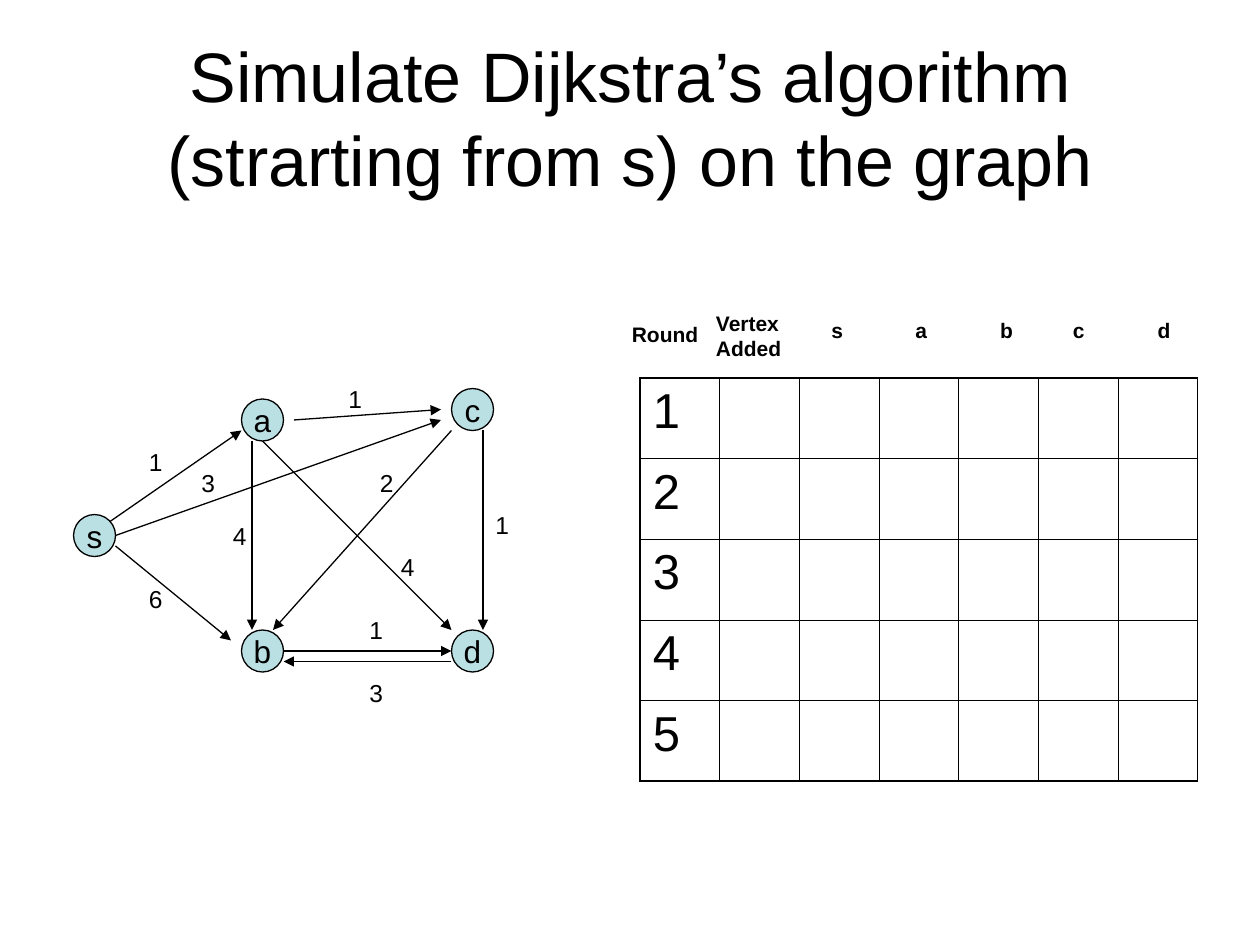
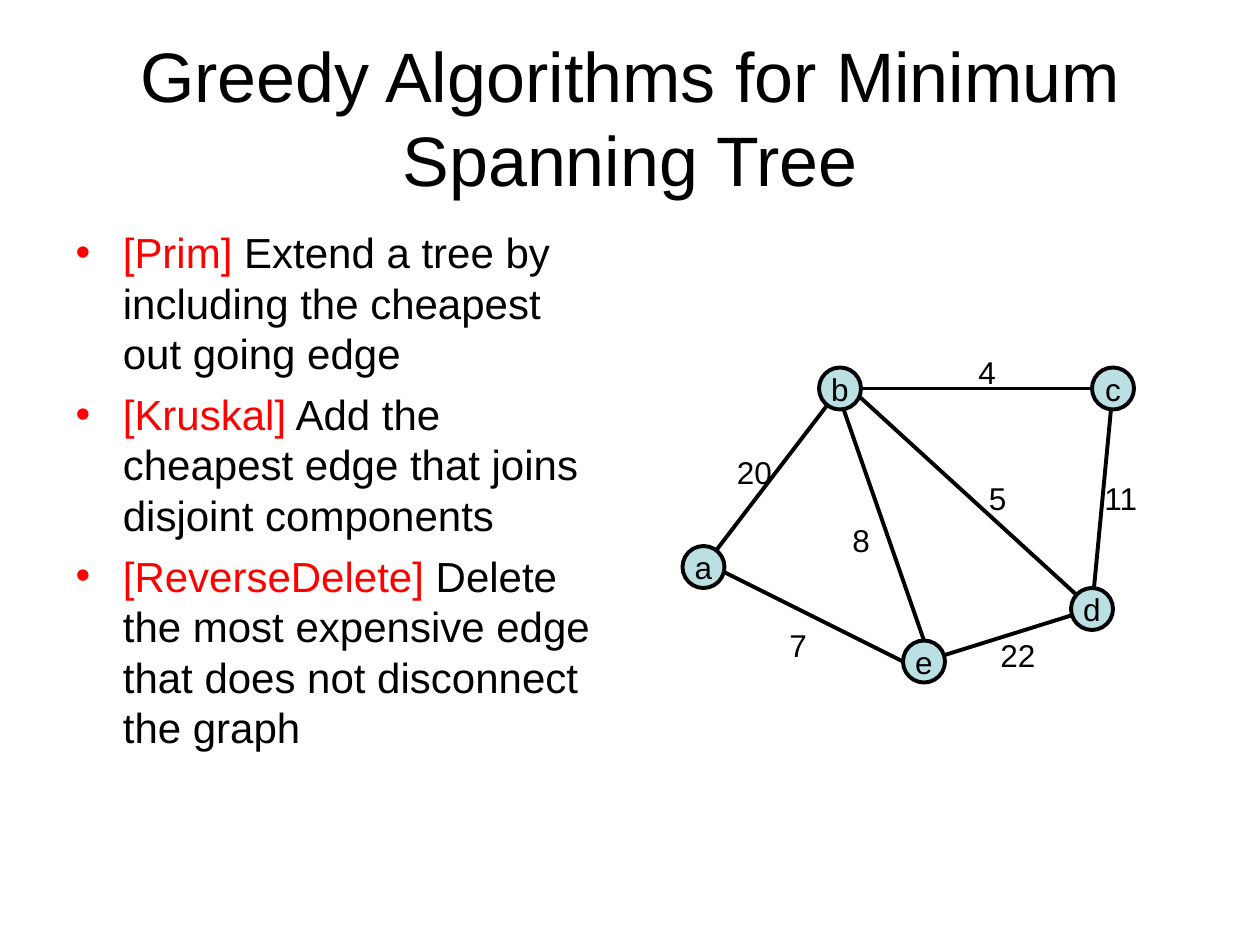
import dataclasses

import lxml.etree
import pptx
import pptx.dml.color
import pptx.enum.shapes
import pptx.enum.text
import pptx.oxml
import pptx.oxml.ns
import pptx.util

Pt = pptx.util.Pt
qn = pptx.oxml.ns.qn
ALIGN = pptx.enum.text.PP_ALIGN
ANCHOR = pptx.enum.text.MSO_ANCHOR

BLACK = pptx.dml.color.RGBColor(0x00, 0x00, 0x00)
RED = pptx.dml.color.RGBColor(0xFF, 0x00, 0x00)
PALE_TEAL = pptx.dml.color.RGBColor(0xBB, 0xE0, 0xE3)
FONT = "Arial"
LEADING = 1.2
VERTEX_SIZE = 24
OUTER_BORDER = 1.08
INNER_BORDER = 0.45
BULLET_INDENT = 27


@dataclasses.dataclass(frozen=True)
class Vertex:
    name: str
    left: float
    top: float


@dataclasses.dataclass(frozen=True)
class Edge:
    x1: float
    y1: float
    x2: float
    y2: float


@dataclasses.dataclass(frozen=True)
class Label:
    text: str
    left: float
    top: float
    width: float
    height: float
    size: float
    bold: bool = False
    wrap: bool = True


@dataclasses.dataclass(frozen=True)
class Graph:
    vertices: list[Vertex]
    edges: list[Edge]
    weights: list[Label]
    line_width: float
    directed: bool


@dataclasses.dataclass(frozen=True)
class Strategy:
    name: str
    rule: str


def small_weight(text: str, left: float, top: float, width: float = 18) -> Label:
    return Label(text, left, top, width, 24.5, 14)


def large_weight(text: str, left: float, top: float) -> Label:
    return Label(text, left, top, 14.5 + 10 * len(text), 28.8, 18, wrap=False)


def vertex_heading(text: str, left: float) -> Label:
    return Label(text, left, 178, 21.2, 21.6, 12, bold=True, wrap=False)


DIJKSTRA_GRAPH = Graph(
    vertices=[
        Vertex("s", 42, 294),
        Vertex("a", 138, 228),
        Vertex("b", 138, 360),
        Vertex("c", 258, 222),
        Vertex("d", 258, 360),
    ],
    edges=[
        Edge(60, 300, 138, 246),
        Edge(66, 312, 132, 366),
        Edge(162, 372, 258, 372),
        Edge(168, 240, 252, 234),
        Edge(276, 246, 276, 360),
        Edge(144, 252, 144, 360),
        Edge(258, 246, 156, 360),
        Edge(150, 252, 258, 360),
        Edge(66, 306, 252, 240),
        Edge(258, 378, 162, 378),
    ],
    weights=[
        small_weight("1", 78, 252),
        small_weight("1", 192, 216),
        small_weight("1", 276, 288),
        small_weight("2", 210, 264),
        small_weight("3", 108, 264),
        small_weight("4", 126, 294),
        small_weight("6", 78, 330),
        small_weight("1", 204, 348),
        small_weight("3", 204, 384, 30),
        small_weight("4", 222, 312),
    ],
    line_width=0.75,
    directed=True,
)

SPANNING_GRAPH = Graph(
    vertices=[
        Vertex("a", 390, 312),
        Vertex("b", 468, 210),
        Vertex("c", 624, 210),
        Vertex("d", 612, 336),
        Vertex("e", 516, 366),
    ],
    edges=[
        Edge(480, 222, 402, 324),
        Edge(408, 324, 516, 378),
        Edge(480, 228, 528, 366),
        Edge(480, 222, 636, 222),
        Edge(636, 222, 624, 348),
        Edge(486, 222, 624, 348),
        Edge(528, 378, 624, 348),
    ],
    weights=[
        large_weight("4", 552, 198),
        large_weight("11", 624, 270),
        large_weight("5", 558, 270),
        large_weight("7", 444, 354),
        large_weight("20", 414, 255.6),
        large_weight("8", 480, 294),
        large_weight("22", 564.5, 360),
    ],
    line_width=2.25,
    directed=False,
)

TABLE_HEADINGS = [
    Label("Round", 354, 180, 60, 21.6, 12, bold=True),
    Label("Vertex Added", 402, 174, 60, 36, 12, bold=True),
    vertex_heading("s", 468),
    vertex_heading("a", 516),
    vertex_heading("b", 564.5),
    vertex_heading("c", 606),
    vertex_heading("d", 654.5),
]

STRATEGIES = [
    Strategy("[Prim]", " Extend a tree by including the cheapest out going edge"),
    Strategy("[Kruskal]", " Add the cheapest edge that joins disjoint components"),
    Strategy(
        "[ReverseDelete]",
        " Delete the most expensive edge that does not disconnect the graph",
    ),
]


def format_run(run, size: float, color=BLACK, bold: bool = False) -> None:
    run.font.name = FONT
    run.font.size = Pt(size)
    run.font.bold = bold
    run.font.color.rgb = color


def format_paragraph(paragraph, size: float, align=ALIGN.LEFT, bold: bool = False) -> None:
    paragraph.alignment = align
    paragraph.line_spacing = Pt(size * LEADING)
    for run in paragraph.runs:
        format_run(run, size, bold=bold)


def place(shape, left: float, top: float, width: float, height: float) -> None:
    shape.left, shape.top = Pt(left), Pt(top)
    shape.width, shape.height = Pt(width), Pt(height)


def add_titled_slide(deck, layout_index: int, text: str):
    slide = deck.slides.add_slide(deck.slide_layouts[layout_index])
    title = slide.shapes.title
    place(title, 36, 21.6, 648, 90)
    frame = title.text_frame
    frame.text = text
    frame.auto_size = pptx.enum.text.MSO_AUTO_SIZE.NONE
    frame.vertical_anchor = ANCHOR.MIDDLE
    format_paragraph(frame.paragraphs[0], 40, ALIGN.CENTER)
    return slide


def draw_label(slide, label: Label) -> None:
    box = slide.shapes.add_textbox(
        Pt(label.left), Pt(label.top), Pt(label.width), Pt(label.height)
    )
    box.text_frame.word_wrap = label.wrap
    box.text_frame.text = label.text
    format_paragraph(box.text_frame.paragraphs[0], label.size, bold=label.bold)


def draw_edge(slide, edge: Edge, line_width: float, directed: bool) -> None:
    connector = slide.shapes.add_connector(
        pptx.enum.shapes.MSO_CONNECTOR.STRAIGHT,
        Pt(edge.x1), Pt(edge.y1), Pt(edge.x2), Pt(edge.y2),
    )
    connector.line.color.rgb = BLACK
    connector.line.width = Pt(line_width)
    if directed:
        line = connector.line._get_or_add_ln()
        lxml.etree.SubElement(line, qn("a:tailEnd"), type="triangle")
    lxml.etree.SubElement(connector._element.spPr, qn("a:effectLst"))


def draw_vertex(slide, vertex: Vertex, line_width: float) -> None:
    circle = slide.shapes.add_shape(
        pptx.enum.shapes.MSO_SHAPE.OVAL,
        Pt(vertex.left), Pt(vertex.top), Pt(VERTEX_SIZE), Pt(VERTEX_SIZE),
    )
    circle.shadow.inherit = False
    circle.fill.solid()
    circle.fill.fore_color.rgb = PALE_TEAL
    circle.line.color.rgb = BLACK
    circle.line.width = Pt(line_width)
    frame = circle.text_frame
    frame.word_wrap = False
    frame.vertical_anchor = ANCHOR.MIDDLE
    frame.text = vertex.name
    format_paragraph(frame.paragraphs[0], 18, ALIGN.CENTER)


def draw_graph(slide, graph: Graph) -> None:
    for edge in graph.edges:
        draw_edge(slide, edge, graph.line_width, graph.directed)
    for weight in graph.weights:
        draw_label(slide, weight)
    for vertex in graph.vertices:
        draw_vertex(slide, vertex, graph.line_width)


def set_border(cell, side: str, width: float) -> None:
    properties = cell._tc.get_or_add_tcPr()
    line = lxml.etree.SubElement(properties, qn(f"a:ln{side}"), w=str(Pt(width)))
    fill = lxml.etree.SubElement(line, qn("a:solidFill"))
    lxml.etree.SubElement(fill, qn("a:srgbClr"), val=str(BLACK))


def draw_rounds(slide, rounds: int, columns: int) -> None:
    table = slide.shapes.add_table(
        rounds, columns, Pt(365.8), Pt(216), Pt(45.5 * columns), Pt(46.1 * rounds)
    ).table
    table.first_row = False
    table.horz_banding = False
    for row in range(rounds):
        for column in range(columns):
            cell = table.cell(row, column)
            outer_sides = {
                "L": column == 0,
                "R": column == columns - 1,
                "T": row == 0,
                "B": row == rounds - 1,
            }
            for side, outer in outer_sides.items():
                set_border(cell, side, OUTER_BORDER if outer else INNER_BORDER)
            cell.fill.background()
        number = table.cell(row, 0).text_frame
        number.text = str(row + 1)
        format_run(number.paragraphs[0].runs[0], 28)


def add_red_bullet(paragraph) -> None:
    properties = paragraph._p.get_or_add_pPr()
    properties.set("marL", str(Pt(BULLET_INDENT)))
    properties.set("indent", str(Pt(-BULLET_INDENT)))
    color = lxml.etree.SubElement(properties, qn("a:buClr"))
    lxml.etree.SubElement(color, qn("a:srgbClr"), val=str(RED))
    lxml.etree.SubElement(properties, qn("a:buFont"), typeface=FONT)
    lxml.etree.SubElement(properties, qn("a:buChar"), char="•")


def fill_strategies(slide, strategies: list[Strategy]) -> None:
    body = slide.placeholders[1]
    place(body, 36, 126, 318, 356.4)
    frame = body.text_frame
    frame.auto_size = pptx.enum.text.MSO_AUTO_SIZE.NONE
    for index, strategy in enumerate(strategies):
        paragraph = frame.add_paragraph() if index else frame.paragraphs[0]
        add_red_bullet(paragraph)
        paragraph.space_before = Pt(6 if index else 0)
        for text in (strategy.name, strategy.rule):
            paragraph.add_run().text = text
        format_paragraph(paragraph, 24)
        paragraph.runs[0].font.color.rgb = RED


def main() -> None:
    deck = pptx.Presentation()
    deck.slide_width, deck.slide_height = Pt(720), Pt(540)

    dijkstra = add_titled_slide(
        deck, 5, "Simulate Dijkstra’s algorithm (strarting from s) on the graph"
    )
    draw_rounds(dijkstra, rounds=5, columns=len(TABLE_HEADINGS))
    for heading in TABLE_HEADINGS:
        draw_label(dijkstra, heading)
    draw_graph(dijkstra, DIJKSTRA_GRAPH)

    spanning = add_titled_slide(deck, 1, "Greedy Algorithms for Minimum Spanning Tree")
    fill_strategies(spanning, STRATEGIES)
    draw_graph(spanning, SPANNING_GRAPH)

    deck.save("out.pptx")


if __name__ == "__main__":
    main()
